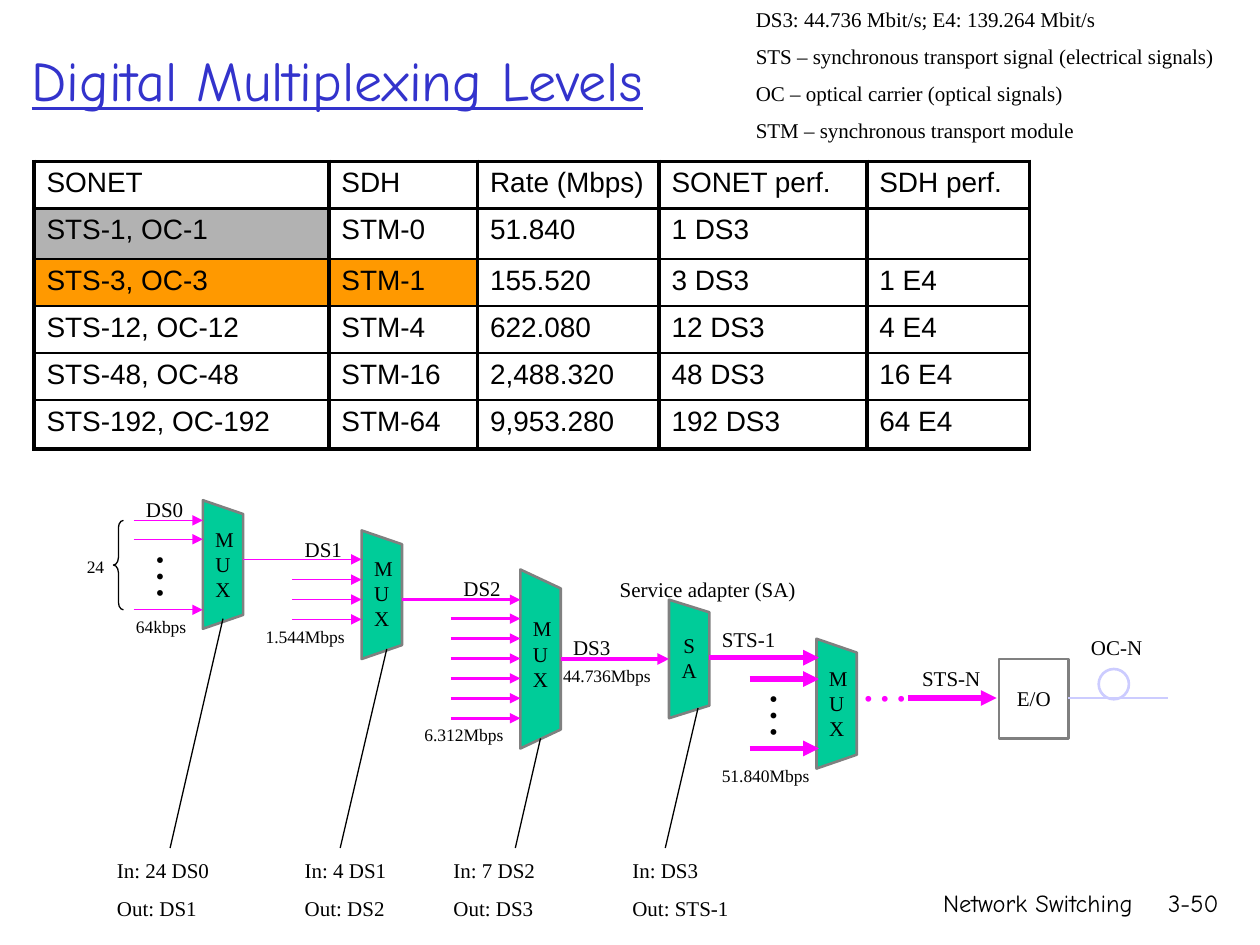
"""Builds the slide on digital multiplexing levels."""
from dataclasses import dataclass

from lxml import etree
from pptx import Presentation
from pptx import util as u
from pptx.dml.color import RGBColor
from pptx.enum import shapes, text
from pptx.oxml.ns import qn

LEFT, MID, RIGHT = text.PP_ALIGN.LEFT, text.PP_ALIGN.CENTER, text.PP_ALIGN.RIGHT


@dataclass(frozen=True)
class Theme:
    ink: str = "000000"
    head: str = "3333CC"
    flow: str = "FF00FF"
    node: str = "00CC99"
    edge: str = "808080"
    fiber: str = "CCCCFF"
    gray: str = "B2B2B2"
    gold: str = "FF9900"
    serif: str = "Times New Roman"
    sans: str = "Arial"
    comic: str = "Comic Neue"
    big: int = 32
    dots: int = 28
    cell: int = 16
    foot: int = 14
    body: int = 12
    small: int = 10
    thin: float = 0.75
    rule: float = 1
    line: float = 1.5
    bold: float = 2.25
    wide: float = 3


T = Theme()


class Deck:
    def __init__(self, cols=100, rows=75):
        self.prs = Presentation()
        self.prs.slide_width = u.Inches(10)
        self.prs.slide_height = u.Inches(7.5)
        self.col = self.prs.slide_width / cols
        self.row = self.prs.slide_height / rows
        self.slide = self.prs.slides.add_slide(self.prs.slide_layouts[5])
        self.items = self.slide.shapes

    def spot(self, x, y):
        return round(x * self.col), round(y * self.row)

    def area(self, x, y, w, h):
        return *self.spot(x, y), *self.spot(w, h)

    def run(self, par, words, size, font, color, under=None):
        run = par.add_run()
        run.text = words
        run.font.size = u.Pt(size)
        run.font.name = font
        run.font.underline = under
        run.font.color.rgb = RGBColor.from_string(color)

    def title(self, words, *area):
        head = self.items.title
        head.left, head.top, head.width, head.height = self.area(*area)
        frame = head.text_frame
        frame.auto_size = text.MSO_AUTO_SIZE.NONE
        frame.vertical_anchor = text.MSO_ANCHOR.MIDDLE
        par = frame.paragraphs[0]
        par.alignment = LEFT
        self.run(par, words, T.big, T.comic, T.head, True)

    def note(self, words, *area, size=T.body, font=T.serif, color=T.ink, align=LEFT, turn=0):
        box = self.items.add_textbox(*self.area(*area))
        box.rotation = turn
        frame = box.text_frame
        frame.word_wrap = True
        for i, part in enumerate(words.split("\n")):
            par = frame.add_paragraph() if i else frame.paragraphs[0]
            par.alignment = align
            par.space_before = u.Pt(0.57 * size if i else 0)
            self.run(par, part, size, font, color)

    def line(self, x1, y1, x2, y2, width, color=T.flow, arrow=True):
        wire = self.items.add_connector(
            shapes.MSO_CONNECTOR.STRAIGHT, *self.spot(x1, y1), *self.spot(x2, y2))
        wire.line.width = u.Pt(width)
        wire.line.color.rgb = RGBColor.from_string(color)
        props = wire._element.spPr
        if arrow:
            etree.SubElement(props.find(qn("a:ln")), qn("a:tailEnd"), type="triangle")
        etree.SubElement(props, qn("a:effectLst"))

    def paint(self, shape, color, width, fill=None):
        shape.shadow.inherit = False
        shape.line.width = u.Pt(width)
        shape.line.color.rgb = RGBColor.from_string(color)
        self.fill(shape.fill, fill)

    def fill(self, fill, color):
        if color:
            fill.solid()
            fill.fore_color.rgb = RGBColor.from_string(color)
        else:
            fill.background()

    def shape(self, kind, *area, color=T.edge, width=T.line):
        shape = self.items.add_shape(kind, *self.area(*area))
        self.paint(shape, color, width)
        return shape

    def mux(self, words, x, y, high, slope, top):
        wide = 3.2
        path = self.items.build_freeform(*self.spot(x, y))
        path.add_line_segments([
            self.spot(x + wide, y + slope), self.spot(x + wide, y + high - slope),
            self.spot(x, y + high)])
        self.paint(path.convert_to_shape(), T.edge, T.line, T.node)
        self.note(words, x, top, wide, 1 + 2 * len(words), align=MID)

    def table(self, data, x, y, cols, rows, fills):
        grid = self.items.add_table(
            len(rows), len(cols), *self.area(x, y, sum(cols), sum(rows))).table
        grid.first_row = grid.horz_banding = False
        for c, wide in enumerate(cols):
            grid.columns[c].width = round(wide * self.col)
        for r, high in enumerate(rows):
            grid.rows[r].height = round(high * self.row)
            over = T.bold if r < 2 else T.rule
            under = T.bold if r in (0, len(rows) - 1) else T.rule
            for c, words in enumerate(data[r]):
                cell = grid.cell(r, c)
                self.border(cell, L=T.bold, R=T.bold, T=over, B=under)
                self.fill(cell.fill, fills.get((r, c)))
                if words:
                    self.run(cell.text_frame.paragraphs[0], words, T.cell, T.sans, T.ink)

    def border(self, cell, **sides):
        props = cell._tc.get_or_add_tcPr()
        for side, width in sides.items():
            edge = etree.SubElement(props, qn("a:ln" + side), w=str(u.Pt(width)))
            tone = etree.SubElement(edge, qn("a:solidFill"))
            etree.SubElement(tone, qn("a:srgbClr"), val=T.ink)


def main():
    deck = Deck()
    deck.title("Digital Multiplexing Levels", 1.5, 1.6, 59.5, 9.4)

    for unit in (("MUX", 16.1, 39.7, 10.2, 1.1, 41.3), ("MUX", 28.7, 42.1, 10.2, 1.1, 43.6),
                 ("MUX", 41.3, 45.2, 14.2, 1.5, 48.4), ("SA", 53.1, 47.6, 9.4, 1, 49.7),
                 ("MUX", 64.8, 50.7, 10.3, 1.1, 52.3)):
        deck.mux(*unit)

    step = 1.58
    for x, end, width, rows in (
            (10.6, 16.1, T.thin, (41.3, 42.8, 48.4)),
            (19.3, 28.7, T.rule, (44.4,)),
            (23.2, 28.7, T.rule, [46 + step * i for i in range(3)]),
            (31.9, 41.3, T.line, (47.6,)),
            (35.8, 41.3, T.line, [49.1 + step * i for i in range(6)]),
            (44.5, 53.1, T.bold, (52.3,)),
            (56.3, 65, T.wide, (52.2,)),
            (59.5, 65, T.wide, (53.9, 59.4)),
            (72.1, 79.1, T.wide, (55.4,))):
        for y in rows:
            deck.line(x, y, end, y, width)

    for x, y, end in ((17.7, 49.1, 13.5), (30.7, 51.5, 27), (42.9, 58.6, 40.9), (55.4, 56.2, 52.8)):
        deck.line(x, y, end, 67.3, T.thin, T.ink, False)

    for words, x, y, wide in (
            ("DS0", 10.6, 38.9, 6.3), ("DS1", 23.2, 42.1, 6.3), ("DS2", 35.8, 45.2, 6.3),
            ("DS3", 44.5, 49.9, 6.3), ("STS-1", 56.3, 49.2, 7.9), ("STS-N", 72.2, 52.3, 7.7),
            ("OC-N", 85.6, 49.9, 7.7), ("Service adapter (SA)", 48.2, 45.3, 18.1)):
        deck.note(words, x, y, wide, 3)

    for words, x, y, wide in (
            ("24", 5.9, 43.6, 3.9), ("64kbps", 9.8, 48.4, 7.1), ("1.544Mbps", 20.1, 49.2, 9.4),
            ("6.312Mbps", 32.7, 57, 9.4), ("44.736Mbps", 43.7, 52.3, 10.2),
            ("51.840Mbps", 56.3, 60.2, 10.2)):
        deck.note(words, x, y, wide, 2.7, size=T.small)

    for x, source, sink in ((8.3, "24 DS0", "DS1"), (23.2, "4 DS1", "DS2"),
                            (35, "7 DS2", "DS3"), (49.2, "DS3", "STS-1")):
        deck.note(f"In: {source}\nOut: {sink}", x, 67.6, 11.8, 6)

    for x, y in ((11.3, 42.8), (60, 53.8)):
        deck.note("…", x, y, 5.5, 5.7, size=T.dots, turn=90)
    deck.note("…", 67.3, 51.3, 6.3, 5.7, size=T.dots, color=T.flow)

    kinds = shapes.MSO_SHAPE
    brace = deck.shape(kinds.LEFT_BRACE, 9, 41.3, 0.8, 7.1, color=T.ink, width=T.thin)
    brace.adjustments[0] = 0.74
    deck.note("E/O", 79.3, 53.9, 5.5, 3, align=MID)
    deck.shape(kinds.RECTANGLE, 79.3, 52.3, 5.5, 6.3)
    deck.line(84.8, 55.4, 92.7, 55.4, T.line, T.fiber, False)
    deck.shape(kinds.OVAL, 87.2, 53.1, 2.4, 2.4, color=T.fiber)

    for words, x, wide in (("Network Switching", 59.2, 31.7), ("3-50", 89.8, 7.9)):
        deck.note(words, x, 70, wide, 5, size=T.foot, font=T.comic, align=RIGHT)

    data = (("SONET", "SDH", "Rate (Mbps)", "SONET perf.", "SDH perf."),
            ("STS-1, OC-1", "STM-0", "51.840", "1 DS3", ""),
            ("STS-3, OC-3", "STM-1", "155.520", "3 DS3", "1 E4"),
            ("STS-12, OC-12", "STM-4", "622.080", "12 DS3", "4 E4"),
            ("STS-48, OC-48", "STM-16", "2,488.320", "48 DS3", "16 E4"),
            ("STS-192, OC-192", "STM-64", "9,953.280", "192 DS3", "64 E4"))
    deck.table(data, 2.7, 12.8, (23.4, 11.8, 14.4, 16.5, 12.9), [3.74] * 5 + [3.9],
               {(1, 0): T.gray, (2, 0): T.gold, (2, 1): T.gold})
    deck.note("DS3: 44.736 Mbit/s; E4: 139.264 Mbit/s\n"
              "STS – synchronous transport signal (electrical signals)\n"
              "OC – optical carrier (optical signals)\n"
              "STM – synchronous transport module", 59, 0, 41, 12.1)
    deck.prs.save("out.pptx")


if __name__ == "__main__":
    main()
